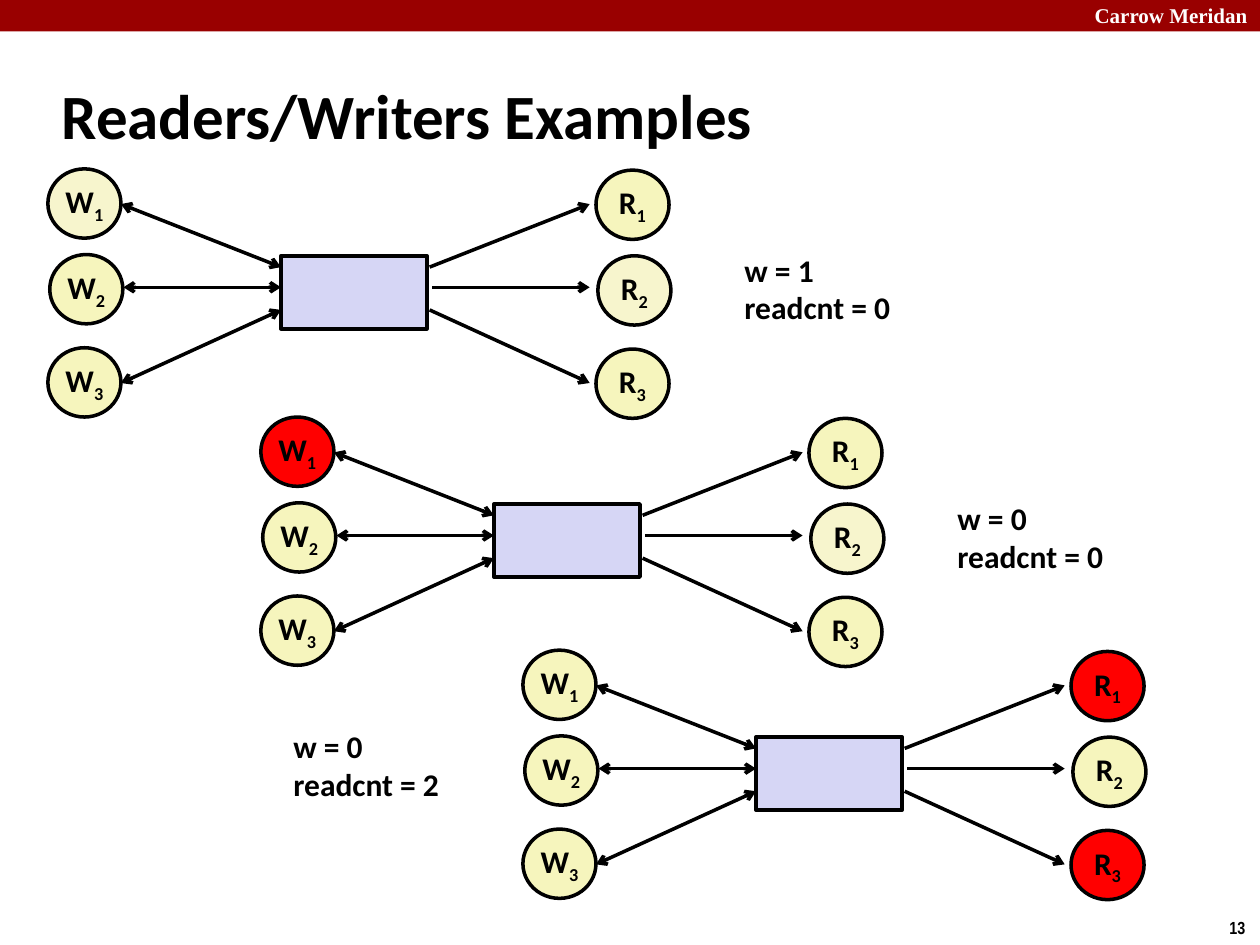
from dataclasses import dataclass
from lxml.etree import SubElement
from pptx import Presentation
from pptx.dml.color import RGBColor
from pptx.enum.shapes import MSO_CONNECTOR, MSO_SHAPE
from pptx.enum.text import MSO_ANCHOR, MSO_AUTO_SIZE, PP_ALIGN
from pptx.oxml.ns import qn
from pptx.util import Inches, Pt

COLS, ROWS = 100, 75
HUES = {
    "band": "990000", "ink": "000000", "paper": "FFFFFF", "box": "D6D6F5",
    "idle": "F6F5BD", "pale": "F7F5CD", "busy": "FF0000",
}
NODE_W, NODE_H = 5.8, 5.5
BOX = (18.5, 6.9, 11.6, 5.8)
NODE_AT = ((0, 0), (0.15, 6.8), (0, 14.2))    # offsets inside a column of nodes
READ_AT = (43.5, 0.1)                         # readers' column from writers' column
# Each link: x and y at the node, x and y at the box
W_LINKS = ((5.8, 2.8, 18.5, 7.8), (6, 9.4, 18.5, 9.4), (5.8, 17, 18.5, 11.2))
R_LINKS = ((43, 2.8, 30.3, 7.8), (43, 9.4, 30.5, 9.4), (43, 17, 30.3, 11.2))


@dataclass(frozen=True)
class Scene:
    x: float
    y: float
    note_x: float
    note_y: float
    w: int
    count: int
    busy: tuple[str, ...] = ()
    pale: tuple[str, ...] = ()

    def hue(self, name: str) -> str:
        if name in self.busy:
            return "busy"
        return "pale" if name in self.pale else "idle"


SCENES = (
    Scene(3.8, 13.4, 58.1, 19.4, 1, 0, pale=("W1", "R2")),
    Scene(20.7, 33.1, 75, 39.1, 0, 0, busy=("W1",), pale=("R2",)),
    Scene(41.5, 51.6, 22.3, 57.2, 0, 2, busy=("R1", "R3")),
)

deck = Presentation()
deck.slide_width, deck.slide_height = Inches(10), Inches(7.5)
slide = deck.slides.add_slide(deck.slide_layouts[6])
shapes = slide.shapes


def col(n: float) -> int:
    return round(deck.slide_width * n / COLS)


def row(n: float) -> int:
    return round(deck.slide_height * n / ROWS)


def area(x: float, y: float, w: float, h: float) -> tuple[int, ...]:
    return col(x), row(y), col(w), row(h)


def rgb(hue: str) -> RGBColor:
    return RGBColor.from_string(HUES[hue])


def write(frame, text: str, size=18, font="Calibri", hue="ink", align=PP_ALIGN.LEFT,
          anchor=MSO_ANCHOR.TOP, wrap=False, grow=False) -> None:
    """Fill a frame line by line; what follows "_" in a line is a subscript."""
    frame.word_wrap, frame.vertical_anchor = wrap, anchor
    if grow:
        frame.auto_size = MSO_AUTO_SIZE.SHAPE_TO_FIT_TEXT
    for i, line in enumerate(text.split("\n")):
        para = frame.add_paragraph() if i else frame.paragraphs[0]
        para.alignment = align
        for j, part in enumerate(line.split("_")):
            run = para.add_run()
            run.text = part
            run.font.size, run.font.name, run.font.bold = Pt(size), font, True
            run.font.color.rgb = rgb(hue)
            if j:
                run._r.get_or_add_rPr().set("baseline", "-25000")


def label(place: tuple[float, ...], text: str, **style) -> None:
    write(shapes.add_textbox(*area(*place)).text_frame, text, **style)


def block(kind: MSO_SHAPE, place: tuple[float, ...], fill: str, edge: bool = True):
    item = shapes.add_shape(kind, *area(*place))
    item.shadow.inherit = False
    item.fill.solid()
    item.fill.fore_color.rgb = rgb(fill)
    if edge:
        item.line.color.rgb, item.line.width = rgb("ink"), Pt(2)
    else:
        item.line.fill.background()
    return item


def node(x: float, y: float, name: str, hue: str) -> None:
    frame = block(MSO_SHAPE.OVAL, (x, y, NODE_W, NODE_H), hue).text_frame
    frame.margin_top = frame.margin_bottom = 0
    write(frame, "_".join(name), align=PP_ALIGN.CENTER, anchor=MSO_ANCHOR.MIDDLE)


def link(x1: float, y1: float, x2: float, y2: float, ends: tuple[str, ...]) -> None:
    wire = shapes.add_connector(MSO_CONNECTOR.STRAIGHT, col(x1), row(y1), col(x2), row(y2))
    wire.line.color.rgb, wire.line.width = rgb("ink"), Pt(2)
    for end in ends:
        SubElement(wire.line._get_or_add_ln(), qn("a:" + end), type="arrow")
    SubElement(wire._element.spPr, qn("a:effectLst"))


def draw(scene: Scene) -> None:
    x, y = scene.x, scene.y
    block(MSO_SHAPE.RECTANGLE, (x + BOX[0], y + BOX[1], *BOX[2:]), "box")
    sides = (
        ("W", (0, 0), W_LINKS, ("headEnd", "tailEnd")),
        ("R", READ_AT, R_LINKS, ("headEnd",)),
    )
    for kind, (left, top), links, ends in sides:
        for i, ((dx, dy), (x1, y1, x2, y2)) in enumerate(zip(NODE_AT, links), 1):
            name = f"{kind}{i}"
            node(x + left + dx, y + top + dy, name, scene.hue(name))
            link(x + x1, y + y1, x + x2, y + y2, ends)
    label((scene.note_x, scene.note_y, 13.8, 7.1),
          f"w = {scene.w}\nreadcnt = {scene.count}", grow=True)


def main() -> None:
    block(MSO_SHAPE.RECTANGLE, (0, 0, COLS, 2.5), "band", edge=False)
    label((80, -0.3, 20, 3), "Carrow Meridan", size=12, font="Times New Roman",
          hue="paper", align=PP_ALIGN.RIGHT, wrap=True, grow=True)
    label((96.6, 72.3, 3.4, 2.7), "13", size=10, font="Arial Narrow", grow=True)
    label((3.9, 4.9, 83, 8.3), "Readers/Writers Examples", size=36,
          anchor=MSO_ANCHOR.MIDDLE, wrap=True)
    for scene in SCENES:
        draw(scene)
    deck.save("out.pptx")


if __name__ == "__main__":
    main()
